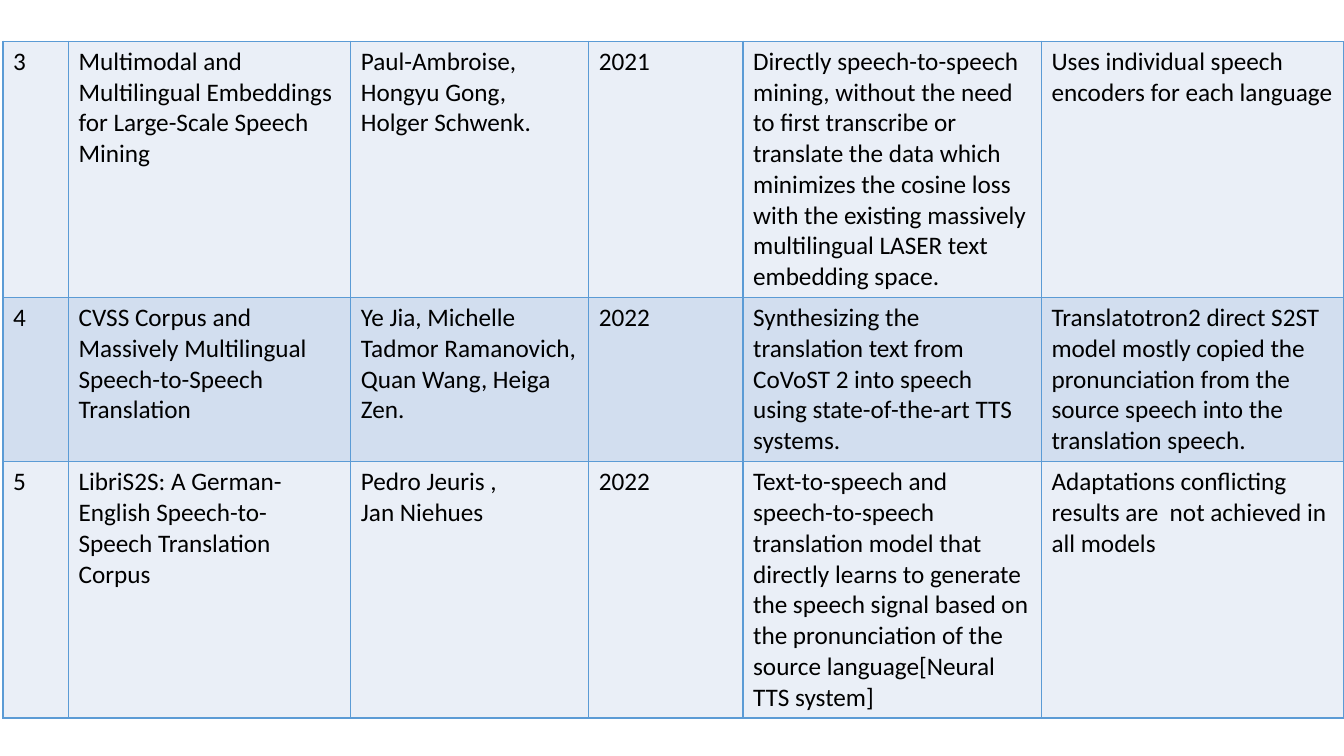
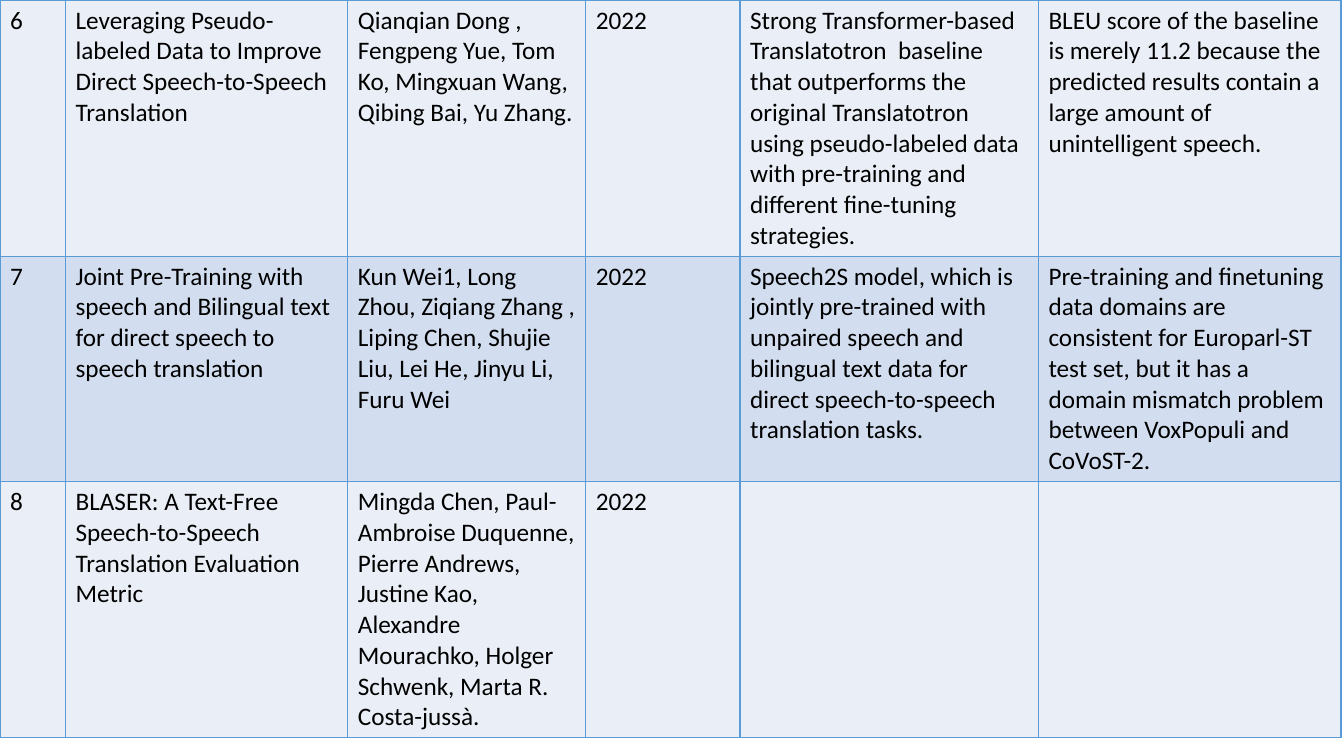
from lxml.etree import SubElement
from pptx import Presentation
from pptx.dml.color import RGBColor
from pptx.oxml.ns import qn
from pptx.util import Inches, Pt

COLORS = {"light": "EAEFF7", "dark": "D2DEEF", "border": "5B9BD5", "text": "000000"}
FONT = "Calibri"
TEXT_SIZE = Pt(18)
BORDER_WIDTH = Pt(1)
COLUMN_WIDTHS = [0.65, 2.8, 2.36, 1.53, 2.96, 3]

EARLIER_PAPERS = [
    ["3", "Multimodal and Multilingual Embeddings for Large-Scale Speech Mining",
     "Paul-Ambroise, Hongyu Gong, Holger Schwenk.", "2021",
     "Directly speech-to-speech mining, without the need to first transcribe or translate "
     "the data which minimizes the cosine loss with the existing massively multilingual "
     "LASER text embedding space.",
     "Uses individual speech encoders for each language"],
    ["4", "CVSS Corpus and Massively Multilingual Speech-to-Speech Translation",
     "Ye Jia, Michelle Tadmor Ramanovich, Quan Wang, Heiga Zen.", "2022",
     "Synthesizing the translation text from CoVoST 2 into speech using state-of-the-art "
     "TTS systems.",
     "Translatotron2 direct S2ST model mostly copied the pronunciation from the source "
     "speech into the translation speech."],
    ["5", "LibriS2S: A German-English Speech-to-Speech Translation Corpus",
     "Pedro Jeuris ,\nJan Niehues", "2022",
     "Text-to-speech and speech-to-speech translation model that directly learns to generate "
     "the speech signal based on the pronunciation of the source language[Neural TTS system]",
     "Adaptations conflicting results are  not achieved in all models "],
]

LATER_PAPERS = [
    ["6", "Leveraging Pseudo-labeled Data to Improve Direct Speech-to-Speech Translation",
     "Qianqian Dong , Fengpeng Yue, Tom Ko, Mingxuan Wang, Qibing Bai, Yu Zhang.", "2022",
     "Strong Transformer-based Translatotron  baseline that outperforms the original "
     "Translatotron using pseudo-labeled data with pre-training and different fine-tuning "
     "strategies.",
     "BLEU score of the baseline is merely 11.2 because the predicted results contain a "
     "large amount of unintelligent speech. "],
    ["7", "Joint Pre-Training with speech and Bilingual text for direct speech to speech "
     "translation",
     "Kun Wei1, Long Zhou, Ziqiang Zhang , Liping Chen, Shujie Liu, Lei He, Jinyu Li, Furu Wei",
     "2022",
     "Speech2S model, which is jointly pre-trained with unpaired speech and bilingual text "
     "data for direct speech-to-speech translation tasks.",
     "Pre-training and finetuning data domains are consistent for Europarl-ST test set, but "
     "it has a domain mismatch problem between VoxPopuli and CoVoST-2."],
    ["8", "BLASER: A Text-Free Speech-to-Speech Translation Evaluation Metric",
     "Mingda Chen, Paul-Ambroise Duquenne, Pierre Andrews, Justine Kao, Alexandre Mourachko, "
     "Holger Schwenk, Marta R. Costa-jussà.", "2022", "", ""],
]


def add_borders(cell):
    properties = cell._tc.get_or_add_tcPr()
    for side in ("a:lnL", "a:lnR", "a:lnT", "a:lnB"):
        line = SubElement(properties, qn(side), w=str(BORDER_WIDTH))
        fill = SubElement(line, qn("a:solidFill"))
        SubElement(fill, qn("a:srgbClr"), val=COLORS["border"])


def write_text(cell, text):
    frame = cell.text_frame
    for index, line in enumerate(text.split("\n")):
        paragraph = frame.add_paragraph() if index else frame.paragraphs[0]
        if line:
            run = paragraph.add_run()
            run.text = line
            run.font.name = FONT
            run.font.size = TEXT_SIZE
            run.font.color.rgb = RGBColor.from_string(COLORS["text"])


def format_cell(cell, text, color):
    add_borders(cell)
    cell.fill.solid()
    cell.fill.fore_color.rgb = RGBColor.from_string(color)
    write_text(cell, text)


def add_paper_table(slide, left, top, papers, row_heights):
    shape = slide.shapes.add_table(
        len(papers), len(COLUMN_WIDTHS), Inches(left), Inches(top),
        Inches(sum(COLUMN_WIDTHS)), Inches(sum(row_heights)))
    table = shape.table
    table.first_row = False
    for column, width in zip(table.columns, COLUMN_WIDTHS):
        column.width = Inches(width)
    for index, (row, height, paper) in enumerate(zip(table.rows, row_heights, papers)):
        row.height = Inches(height)
        color = COLORS["dark" if index % 2 else "light"]
        for cell, text in zip(row.cells, paper):
            format_cell(cell, text, color)


def main():
    presentation = Presentation()
    presentation.slide_width = Inches(13.33)
    presentation.slide_height = Inches(7.5)
    blank_layout = presentation.slide_layouts[6]
    for left, top, papers, row_heights in (
        (0.03, 0.41, EARLIER_PAPERS, [2.54, 1.63, 2.54]),
        (0, 0, LATER_PAPERS, [2.54, 2.23, 2.54]),
    ):
        slide = presentation.slides.add_slide(blank_layout)
        add_paper_table(slide, left, top, papers, row_heights)
    presentation.save("out.pptx")


main()
